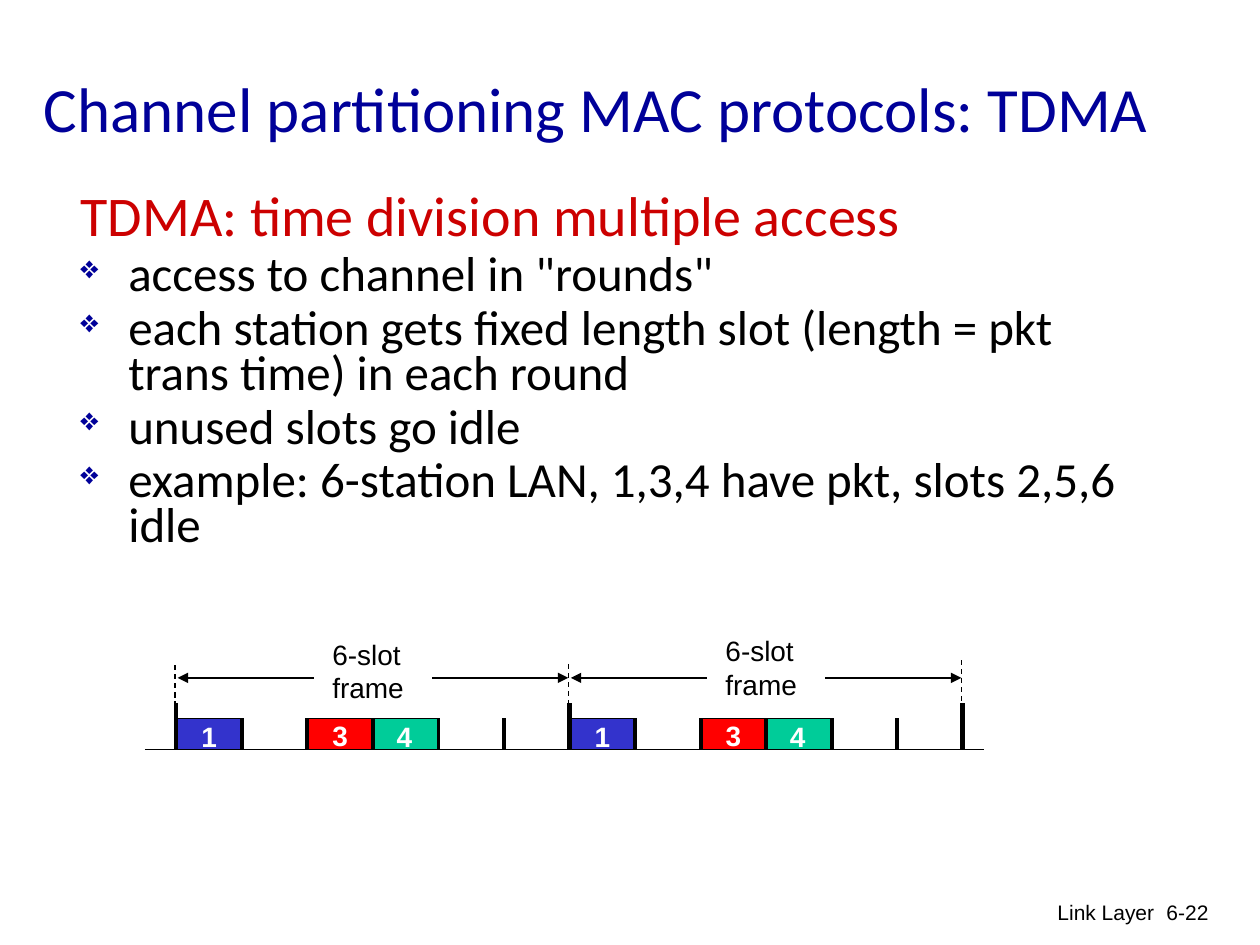
from lxml import etree
from pptx import Presentation
from pptx.dml.color import RGBColor
from pptx.enum.dml import MSO_LINE
from pptx.enum.shapes import MSO_CONNECTOR, MSO_SHAPE
from pptx.enum.text import MSO_ANCHOR, MSO_AUTO_SIZE, PP_ALIGN
from pptx.oxml.ns import qn
from pptx.util import Inches, Pt

STRAIGHT = MSO_CONNECTOR.STRAIGHT
RECTANGLE = MSO_SHAPE.RECTANGLE
DASH = MSO_LINE.DASH
MIDDLE, TOP = MSO_ANCHOR.MIDDLE, MSO_ANCHOR.TOP
LEFT, RIGHT = PP_ALIGN.LEFT, PP_ALIGN.RIGHT
FIT_SHAPE, NO_FIT = MSO_AUTO_SIZE.SHAPE_TO_FIT_TEXT, MSO_AUTO_SIZE.NONE

BLACK = RGBColor(0x00, 0x00, 0x00)
WHITE = RGBColor(0xFF, 0xFF, 0xFF)
NAVY = RGBColor(0x00, 0x00, 0x99)
CRIMSON = RGBColor(0xCC, 0x00, 0x00)
BLUE = RGBColor(0x33, 0x33, 0xCC)
RED = RGBColor(0xFF, 0x00, 0x00)
GREEN = RGBColor(0x00, 0xCC, 0x99)

HEADING = "TDMA: time division multiple access"
POINTS = [
    'access to channel in "rounds"',
    "each station gets fixed length slot (length = pkt trans time) in each round",
    "unused slots go idle",
    "example: 6-station LAN, 1,3,4 have pkt, slots 2,5,6 idle",
]

# Timeline geometry, in inches
SLOTS = 6
SLOT_WIDTH = 0.52
FRAME_WIDTH = SLOTS * SLOT_WIDTH
FIRST_FRAME = 1.4
SLOT_TOP, SLOT_HEIGHT = 5.7, 0.25
BASELINE = SLOT_TOP + SLOT_HEIGHT
ARROW_Y = 5.38

# Station number, fill, label offset from the frame start, label top
PACKETS = [(1, BLUE, 0.1, 5.66), (3, RED, 1.14, 5.65), (4, GREEN, 1.65, 5.66)]


def add_box(page, left, top, width, height, anchor=TOP, wrap=True):
    box = page.shapes.add_textbox(
        Inches(left), Inches(top), Inches(width), Inches(height))
    frame = box.text_frame
    frame.word_wrap = wrap
    frame.auto_size = NO_FIT if wrap else FIT_SHAPE
    frame.vertical_anchor = anchor
    return frame


def add_span(para, text, size, color, font="Arial", bold=False):
    span = para.add_run()
    span.text = text
    span.font.name = font
    span.font.size = Pt(size)
    span.font.bold = bold
    span.font.color.rgb = color


def add_text(page, place, lines, size, color, font="Arial", bold=False,
             align=LEFT, **options):
    frame = add_box(page, *place, **options)
    for index, line in enumerate(lines):
        para = frame.add_paragraph() if index else frame.paragraphs[0]
        para.alignment = align
        add_span(para, line, size, color, font, bold)


def add_bullet(para):
    properties = para._p.get_or_add_pPr()
    color = etree.SubElement(properties, qn("a:buClr"))
    etree.SubElement(color, qn("a:srgbClr")).set("val", str(NAVY))
    etree.SubElement(properties, qn("a:buSzPct")).set("val", "65000")
    etree.SubElement(properties, qn("a:buChar")).set("char", "❖")


def add_body(page):
    frame = add_box(page, 0.54, 1.51, 8.5, 3.2)
    for index, text in enumerate([HEADING] + POINTS):
        para = frame.add_paragraph() if index else frame.paragraphs[0]
        properties = para._p.get_or_add_pPr()
        properties.set("marL", str(Inches(0.38)))
        properties.set("indent", str(Inches(-0.38)))
        para.line_spacing = 0.75
        if index:
            para.space_before = Pt(5.6)
            add_bullet(para)
            add_span(para, text, 28, BLACK, "Calibri")
        else:
            add_span(para, text, 32, CRIMSON, "Calibri")


def add_line(page, x1, y1, x2, y2, weight=0.75, dashed=False, arrow=False):
    line = page.shapes.add_connector(
        STRAIGHT, Inches(x1), Inches(y1), Inches(x2), Inches(y2))
    line.line.color.rgb = BLACK
    line.line.width = Pt(weight)
    if dashed:
        line.line.dash_style = DASH
    if arrow:
        tail = etree.SubElement(line.line._get_or_add_ln(), qn("a:tailEnd"))
        tail.set("type", "triangle")
    etree.SubElement(line._element.spPr, qn("a:effectLst"))


def add_packet(page, left, color):
    packet = page.shapes.add_shape(
        RECTANGLE, Inches(left), Inches(SLOT_TOP),
        Inches(SLOT_WIDTH), Inches(SLOT_HEIGHT))
    packet.shadow.inherit = False
    packet.fill.solid()
    packet.fill.fore_color.rgb = color
    packet.line.color.rgb = BLACK
    packet.line.width = Pt(0.75)


def add_frame(page, start, label_top):
    # Packets in their slots
    for station, color, offset, top in PACKETS:
        add_packet(page, start + (station - 1) * SLOT_WIDTH, color)
        add_text(page, (start + offset, top, 0.32, 0.37), [str(station)],
                 16, WHITE, bold=True, wrap=False)

    # Ticks between slots
    for slot in range(1, SLOTS):
        x = start + slot * SLOT_WIDTH
        add_line(page, x, SLOT_TOP, x, BASELINE, 2.25)

    # Frame label and the arrows on both sides of it
    add_text(page, (start + 1.14, label_top, 0.77, 0.64),
             ["6-slot", "frame"], 16, BLACK, wrap=False)
    end = start + FRAME_WIDTH
    add_line(page, start + 1.09, ARROW_Y, start + 0.01, ARROW_Y, arrow=True)
    add_line(page, end - 1.09, ARROW_Y, end - 0.01, ARROW_Y, arrow=True)


def add_timeline(page):
    add_line(page, 1.15, BASELINE, 7.81, BASELINE)
    for index, label_top in enumerate([5.01, 4.98]):
        add_frame(page, FIRST_FRAME + index * FRAME_WIDTH, label_top)

    # Frame boundaries: tall tick with a dashed guide above
    boundaries = [(2.25, 5.28), (3, 5.27), (3, 5.24)]
    for index, (weight, guide_top) in enumerate(boundaries):
        x = FIRST_FRAME + index * FRAME_WIDTH
        add_line(page, x, 5.58, x, BASELINE, weight)
        add_line(page, x - 0.01, guide_top, x - 0.01, guide_top + 0.33, dashed=True)


def main():
    deck = Presentation()
    deck.slide_width, deck.slide_height = Inches(10), Inches(7.5)
    page = deck.slides.add_slide(deck.slide_layouts[6])

    # Footer
    add_text(page, (6.09, 7.09, 3.17, 0.5), ["Link Layer"], 12, BLACK, align=RIGHT)
    add_text(page, (8.95, 7.09, 0.74, 0.5), ["6-22"], 12, BLACK, align=RIGHT)

    # Title and content
    add_text(page, (0.25, 0.23, 9.44, 1.25),
             ["Channel partitioning MAC protocols: TDMA"], 36, NAVY,
             font="Calibri", anchor=MIDDLE)
    add_body(page)
    add_timeline(page)
    deck.save("out.pptx")


if __name__ == "__main__":
    main()
